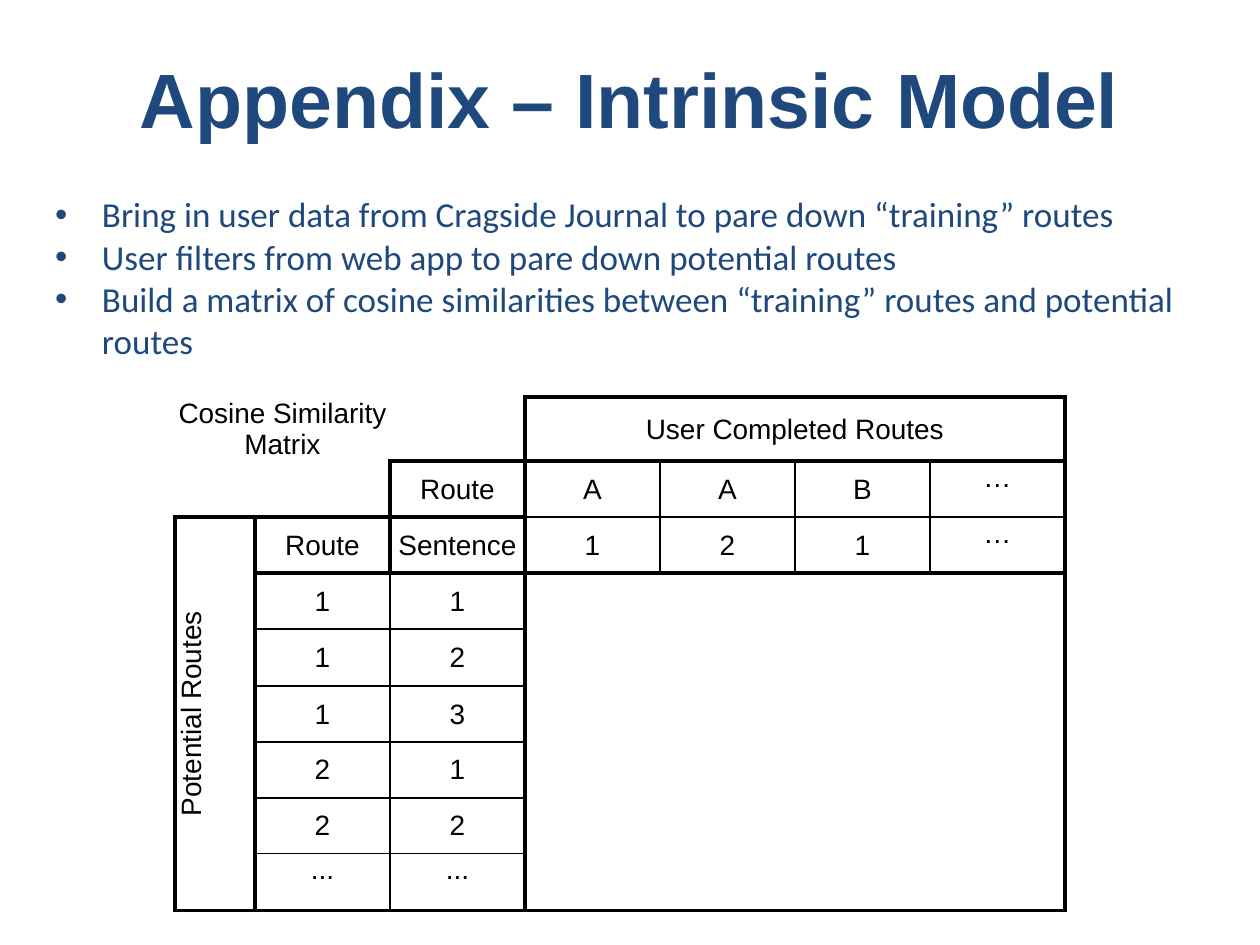
from lxml.etree import SubElement
from pptx import Presentation
from pptx.dml.color import RGBColor
from pptx.enum.text import MSO_ANCHOR, PP_ALIGN
from pptx.oxml.ns import qn
from pptx.util import Pt

SCALE = 914400 / 126
NAVY, BLACK = "1F497D", "000000"


def px(n):
    return round(n * SCALE)


def add_run(p, text, size, font, color, bold=False):
    r = p.add_run()
    r.text = text
    r.font.size, r.font.name, r.font.bold = Pt(size), font, bold
    r.font.color.rgb = RGBColor.from_string(color)


prs = Presentation()
prs.slide_width, prs.slide_height = px(1260), px(945)
s = prs.slides.add_slide(prs.slide_layouts[5])

title = s.shapes.title
title.left, title.top, title.width, title.height = px(63), px(19), px(1134), px(157)
tf = title.text_frame
tf.vertical_anchor = MSO_ANCHOR.MIDDLE
p = tf.paragraphs[0]
p.alignment = PP_ALIGN.CENTER
add_run(p, "Appendix – Intrinsic Model", 44, "Arial", NAVY, True)

widths = [80] + [135] * 6
heights = [64] + [56, 56, 56, 57] * 2
frame = s.shapes.add_table(len(heights), len(widths), px(175), px(397),
                           px(sum(widths)), px(sum(heights)))
table = frame.table
table.first_row = table.horz_banding = False
for col, w in zip(table.columns, widths):
    col.width = px(w)
for row, h in zip(table.rows, heights):
    row.height = px(h)

for top, left, bottom, right in [(0, 0, 0, 1), (0, 3, 0, 6), (2, 0, 8, 0)]:
    table.cell(top, left).merge(table.cell(bottom, right))

rows = [
    ["Cosine Similarity Matrix", "", "", "User Completed Routes", "", "", ""],
    ["", "", "Route", "A", "A", "B", "…"],
    ["Potential Routes", "Route", "Sentence", "1", "2", "1", "…"],
    ["", "1", "1"],
    ["", "1", "2"],
    ["", "1", "3"],
    ["", "2", "1"],
    ["", "2", "2"],
    ["", "...", "..."],
]

edges = {}
for top, left, bottom, right in [(1, 3, 2, 6), (3, 1, 8, 2)]:
    for i in range(top, bottom + 1):
        for j in range(left, right + 1):
            edges["v", i, j] = edges["h", i, j] = 1
blocks = [(0, 3, 0, 6), (1, 2, 1, 2), (2, 0, 8, 0), (2, 1, 2, 1),
          (2, 2, 2, 2), (1, 3, 2, 6), (3, 1, 8, 2), (3, 3, 8, 6)]
for top, left, bottom, right in blocks:
    for i in range(top, bottom + 1):
        edges["v", i, left] = edges["v", i, right + 1] = 2.25
    for j in range(left, right + 1):
        edges["h", top, j] = edges["h", bottom + 1, j] = 2.25

for i in range(len(heights)):
    for j in range(len(widths)):
        cell = table.cell(i, j)
        cell.margin_left = cell.margin_right = cell.margin_top = px(1)
        cell.margin_bottom = 0
        text = rows[i][j] if j < len(rows[i]) else ""
        if text not in ("…", "..."):
            cell.vertical_anchor = MSO_ANCHOR.MIDDLE
        if text:
            p = cell.text_frame.paragraphs[0]
            p.alignment = PP_ALIGN.CENTER
            add_run(p, text, 16, "Arial", BLACK)
        tcPr = cell._tc.get_or_add_tcPr()
        if text == "Potential Routes":
            tcPr.set("vert", "vert270")
        end_row, end_col = i + 1, j + 1
        if cell.is_merge_origin:
            end_row, end_col = i + cell.span_height, j + cell.span_width
        sides = {"a:lnL": ("v", i, j), "a:lnR": ("v", i, end_col),
                 "a:lnT": ("h", i, j), "a:lnB": ("h", end_row, j)}
        for tag, edge in sides.items():
            ln = SubElement(tcPr, qn(tag))
            if edge in edges:
                ln.set("w", str(Pt(edges[edge])))
                fill = SubElement(ln, qn("a:solidFill"))
                SubElement(fill, qn("a:srgbClr")).set("val", BLACK)
            else:
                SubElement(ln, qn("a:noFill"))
        cell.fill.background()

bullets = [
    "Bring in user data from Cragside Journal to pare down “training” routes",
    "User filters from web app to pare down potential routes",
    "Build a matrix of cosine similarities between “training” routes and potential routes",
]
tf = s.shapes.add_textbox(px(42), px(180), px(1176), px(415)).text_frame
tf.word_wrap = True
tf.margin_left = tf.margin_right = tf.margin_top = tf.margin_bottom = px(13)
for n, text in enumerate(bullets):
    p = tf.add_paragraph() if n else tf.paragraphs[0]
    pPr = p._p.get_or_add_pPr()
    pPr.set("marL", str(px(47)))
    pPr.set("indent", str(px(-47)))
    SubElement(pPr, qn("a:buFont")).set("typeface", "Arial")
    SubElement(pPr, qn("a:buChar")).set("char", "•")
    add_run(p, text, 20, "Calibri", NAVY)

prs.save("out.pptx")
